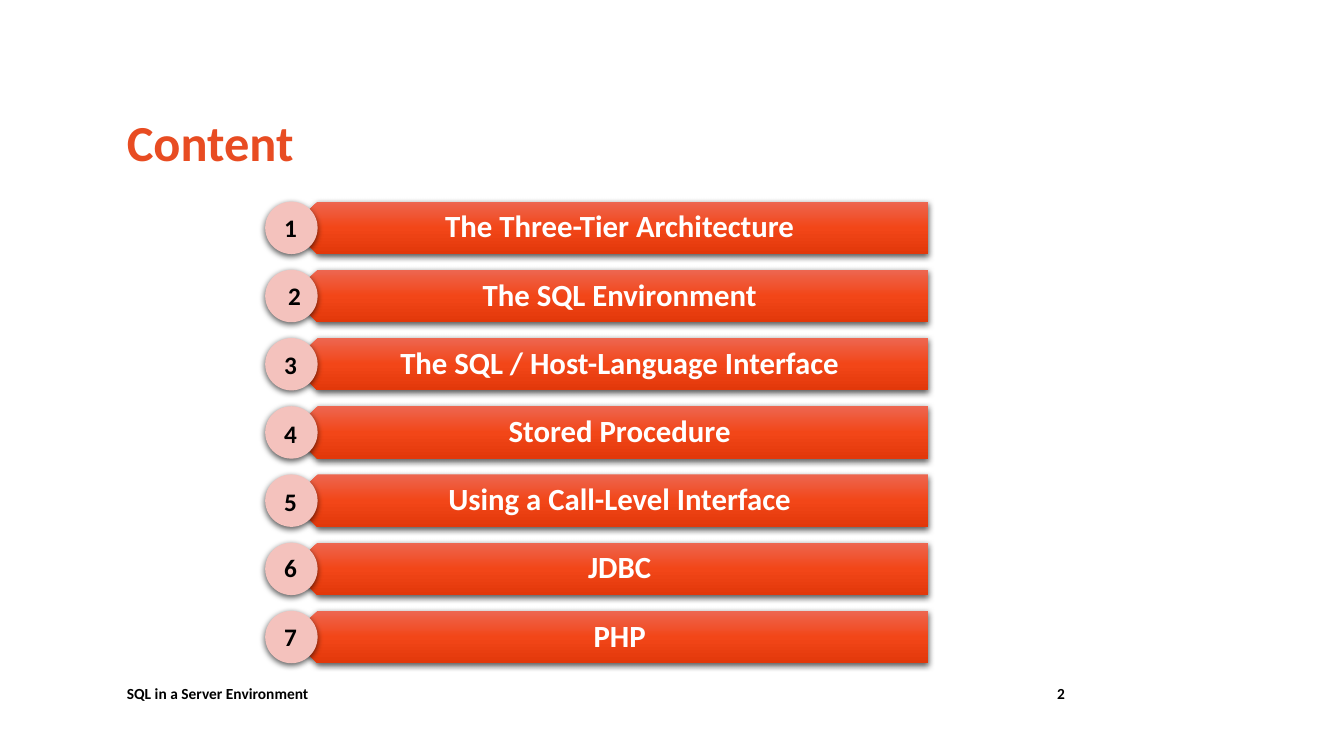
from dataclasses import dataclass

from lxml import etree
from pptx import Presentation
from pptx.dml.color import RGBColor
from pptx.enum.shapes import MSO_SHAPE
from pptx.enum.text import MSO_ANCHOR, PP_ALIGN
from pptx.oxml import parse_xml
from pptx.oxml.ns import nsdecls, qn
from pptx.util import Inches, Pt

PENTAGON, OVAL = MSO_SHAPE.PENTAGON, MSO_SHAPE.OVAL
LEFT, CENTER, RIGHT = PP_ALIGN.LEFT, PP_ALIGN.CENTER, PP_ALIGN.RIGHT
MIDDLE, BOTTOM = MSO_ANCHOR.MIDDLE, MSO_ANCHOR.BOTTOM


@dataclass(frozen=True)
class Theme:
    font: str = "Calibri"
    title_color: str = "E84C22"
    bar_text_color: str = "FFFFFF"
    text_color: str = "000000"
    badge_color: str = "F4C2BD"
    shadow_color: str = "000000"
    bar_gradient: tuple = ((0, "ED6650"), (50, "F24618"), (100, "E2380A"))
    title_size: int = 36
    bar_size: int = 22
    number_size: int = 18
    footer_size: int = 11


TOPICS = [
    ("The Three-Tier Architecture", 2.72, 2.06),
    ("The SQL Environment", 2.76, 2.73),
    ("The SQL / Host-Language Interface", 2.72, 3.42),
    ("Stored Procedure", 2.72, 4.1),
    ("Using a Call-Level Interface", 2.72, 4.77),
    ("JDBC", 2.72, 5.43),
    ("PHP", 2.72, 6.11),
]
FIRST_TOP, LAST_TOP, BAR_HEIGHT = 2, 6.06, 0.52
ROW_PITCH = (LAST_TOP - FIRST_TOP) / (len(TOPICS) - 1)


class ContentSlide:
    """Draws the elements of one slide in one theme."""

    def __init__(self, slide, theme):
        self.slide = slide
        self.theme = theme

    def text(self, content, left, top, width, height, *, size, color,
             align=LEFT, anchor=MIDDLE, spacing=1.0, wrap=True,
             insets=(0.1, 0.05, 0.1, 0.05)):
        shape = self.slide.shapes.add_textbox(
            Inches(left), Inches(top), Inches(width), Inches(height))
        frame = shape.text_frame
        frame.word_wrap = wrap
        frame.vertical_anchor = anchor
        (frame.margin_left, frame.margin_top,
         frame.margin_right, frame.margin_bottom) = map(Inches, insets)
        paragraph = frame.paragraphs[0]
        paragraph.alignment = align
        paragraph.line_spacing = spacing
        run = paragraph.add_run()
        run.text = content
        run.font.name = self.theme.font
        run.font.size = Pt(size)
        run.font.bold = True
        run.font.color.rgb = RGBColor.from_string(color)

    def raised_shape(self, kind, left, top, width, height):
        shape = self.slide.shapes.add_shape(
            kind, Inches(left), Inches(top), Inches(width), Inches(height))
        shape.line.fill.background()
        shape.shadow.inherit = False
        effects = shape._element.spPr.find(qn("a:effectLst"))
        shadow = etree.SubElement(
            effects, qn("a:outerShdw"), blurRad=str(Pt(4.5)), dist=str(Pt(1.5)),
            dir="5400000", rotWithShape="0")
        color = etree.SubElement(
            shadow, qn("a:srgbClr"), val=self.theme.shadow_color)
        etree.SubElement(color, qn("a:alpha"), val="63000")
        return shape

    def bar(self, top):
        shape = self.raised_shape(PENTAGON, 2.89, top, 6.32, BAR_HEIGHT)
        shape.rotation = 180
        stops = "".join(
            f'<a:gs pos="{position * 1000}"><a:srgbClr val="{color}"/></a:gs>'
            for position, color in self.theme.bar_gradient)
        gradient = parse_xml(
            f'<a:gradFill {nsdecls("a")} rotWithShape="0"><a:gsLst>{stops}</a:gsLst>'
            '<a:lin ang="5400000" scaled="0"/></a:gradFill>')
        shape._element.spPr.find(qn("a:prstGeom")).addnext(gradient)

    def badge(self, top):
        shape = self.raised_shape(OVAL, 2.63, top, BAR_HEIGHT, BAR_HEIGHT)
        shape.fill.solid()
        shape.fill.fore_color.rgb = RGBColor.from_string(self.theme.badge_color)

    def topic(self, row, label):
        top = FIRST_TOP + row * ROW_PITCH
        self.bar(top)
        self.text(label, 3.02, top, 6.19, BAR_HEIGHT, size=self.theme.bar_size,
                  color=self.theme.bar_text_color, align=CENTER, spacing=0.9,
                  insets=(0.23, 0.09, 0.17, 0.09))
        self.badge(top)

    def number(self, value, left, top):
        self.text(str(value), left, top, 0.33, 0.4, wrap=False,
                  size=self.theme.number_size, color=self.theme.text_color)

    def footer(self, content, left, width, align):
        self.text(content, left, 6.73, width, 0.3, align=align,
                  size=self.theme.footer_size, color=self.theme.text_color)


def main():
    presentation = Presentation()
    presentation.slide_width = Inches(13.33)
    presentation.slide_height = Inches(7.5)
    theme = Theme()
    slide = presentation.slides.add_slide(presentation.slide_layouts[6])
    content = ContentSlide(slide, theme)
    content.text("Content", 1.16, 0.58, 9.5, 1.17, size=theme.title_size,
                 color=theme.title_color, anchor=BOTTOM, spacing=0.8)
    content.footer("SQL in a Server Environment", 1.16, 6.18, LEFT)
    content.footer("2", 9.33, 1.33, RIGHT)
    for row, (label, _, _) in enumerate(TOPICS):
        content.topic(row, label)
    for value, (_, left, top) in enumerate(TOPICS, start=1):
        content.number(value, left, top)
    presentation.save("out.pptx")


if __name__ == "__main__":
    main()
